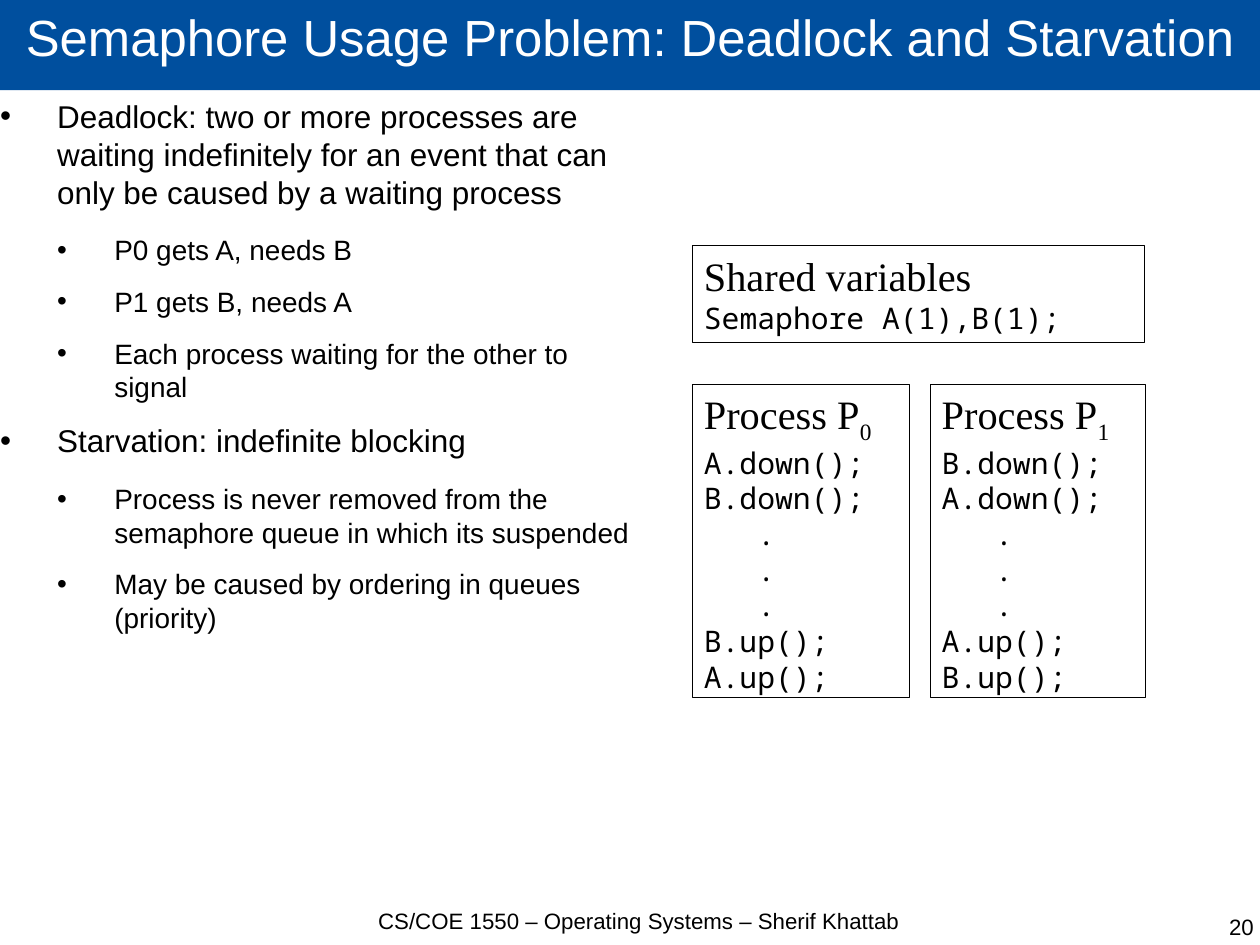
from lxml import etree
from pptx import Presentation
from pptx.dml.color import RGBColor
from pptx.enum import shapes, text
from pptx.oxml import ns
from pptx.util import Inches, Pt

CM_PER_INCH = 2.54
PAGE_SIZE_CM = (28, 21)

BLACK, WHITE, BLUE = "000000", "FFFFFF", "004F9E"
SANS, SERIF, MONO = "Arial", "Times New Roman", "Noto Sans Mono"

TITLE = "Semaphore Usage Problem: Deadlock and Starvation"
FOOTER = "CS/COE 1550 – Operating Systems – Sherif Khattab"
PAGE_NUMBER = "20"

# (level, text)
POINTS = [
    (0, "Deadlock: two or more processes are waiting indefinitely for an event "
        "that can only be caused by a waiting process"),
    (1, "P0 gets A, needs B"),
    (1, "P1 gets B, needs A"),
    (1, "Each process waiting for the other to signal"),
    (0, "Starvation: indefinite blocking"),
    (1, "Process is never removed from the semaphore queue in which its suspended"),
    (1, "May be caused by ordering in queues (priority)"),
]
LEVEL_SIZE = (19.8, 17.6)
LEVEL_SPACE_AFTER = (14.2, 11.4)
INDENT = 0.5

DOTS = ["   ."] * 3
# (left, top, width, height), heading, subscript, code lines
PANELS = [
    ((6.06, 3.36, 1.9, 2.74), "Process P", "0",
     ["A.down();", "B.down();", *DOTS, "B.up();", "A.up();"]),
    ((8.14, 3.36, 1.88, 2.74), "Process P", "1",
     ["B.down();", "A.down();", *DOTS, "A.up();", "B.up();"]),
    ((6.06, 2.15, 3.95, 0.85), "Shared variables", "",
     ["Semaphore A(1),B(1);"]),
]


def color(value):
    return RGBColor.from_string(value)


def set_up_frame(box, margin_x=0, margin_y=0, anchor=text.MSO_ANCHOR.TOP):
    frame = box.text_frame
    frame.word_wrap = True
    frame.vertical_anchor = anchor
    frame.margin_left = frame.margin_right = Inches(margin_x)
    frame.margin_top = frame.margin_bottom = Inches(margin_y)
    return frame


def add_para(frame, first, align=text.PP_ALIGN.LEFT):
    para = frame.paragraphs[0] if first else frame.add_paragraph()
    para.alignment = align
    return para


def add_span(para, words, size, font=SANS, fill=BLACK):
    span = para.add_run()
    span.text = words
    span.font.size = Pt(size)
    span.font.name = font
    span.font.color.rgb = color(fill)
    return span


def add_rectangle(page, place):
    box = page.shapes.add_shape(shapes.MSO_SHAPE.RECTANGLE, *map(Inches, place))
    box.shadow.inherit = False
    return box


def add_bullet(para, level):
    props = para._p.get_or_add_pPr()
    props.set("marL", str(Inches(INDENT * (level + 1))))
    props.set("indent", str(-Inches(INDENT)))
    bullet_color = etree.SubElement(props, ns.qn("a:buClr"))
    etree.SubElement(bullet_color, ns.qn("a:srgbClr"), val=BLACK)
    etree.SubElement(props, ns.qn("a:buFont"), typeface=SANS)
    etree.SubElement(props, ns.qn("a:buChar"), char="•")


def add_title(page):
    box = add_rectangle(page, (0, -0.02, 11.04, 0.81))
    box.fill.solid()
    box.fill.fore_color.rgb = color(BLUE)
    box.line.fill.background()
    frame = set_up_frame(box, anchor=text.MSO_ANCHOR.MIDDLE)
    para = add_para(frame, True, text.PP_ALIGN.CENTER)
    para.line_spacing = 0.69
    add_span(para, TITLE, 32, fill=WHITE)


def add_points(page):
    box = page.shapes.add_textbox(*map(Inches, (0, 0.85, 5.68, 7.12)))
    frame = set_up_frame(box)
    for index, (level, words) in enumerate(POINTS):
        para = add_para(frame, index == 0)
        para.level = level
        para.space_after = Pt(LEVEL_SPACE_AFTER[level])
        add_bullet(para, level)
        add_span(para, words, LEVEL_SIZE[level])


def add_footer(page, place, words, align):
    box = page.shapes.add_textbox(*map(Inches, place))
    add_span(add_para(set_up_frame(box), True, align), words, 14)


def add_panel(page, place, heading, subscript, code):
    box = add_rectangle(page, place)
    box.fill.background()
    box.line.color.rgb = color(BLACK)
    box.line.width = Pt(0.5)
    frame = set_up_frame(box, 0.1, 0.05)
    para = add_para(frame, True)
    add_span(para, heading, 25.4, SERIF)
    if subscript:
        span = add_span(para, subscript, 25.4, SERIF)
        span._r.get_or_add_rPr().set("baseline", "-25000")
    for line in code:
        add_span(add_para(frame, False), line, 18.7, MONO)


def main():
    deck = Presentation()
    deck.slide_width, deck.slide_height = (
        Inches(side / CM_PER_INCH) for side in PAGE_SIZE_CM)
    page = deck.slides.add_slide(deck.slide_layouts[6])
    add_title(page)
    add_points(page)
    add_footer(page, (3.07, 7.94, 5.04, 0.55), FOOTER, text.PP_ALIGN.CENTER)
    add_footer(page, (8.44, 7.99, 2.53, 0.55), PAGE_NUMBER, text.PP_ALIGN.RIGHT)
    for panel in PANELS:
        add_panel(page, *panel)
    deck.save("out.pptx")


if __name__ == "__main__":
    main()
